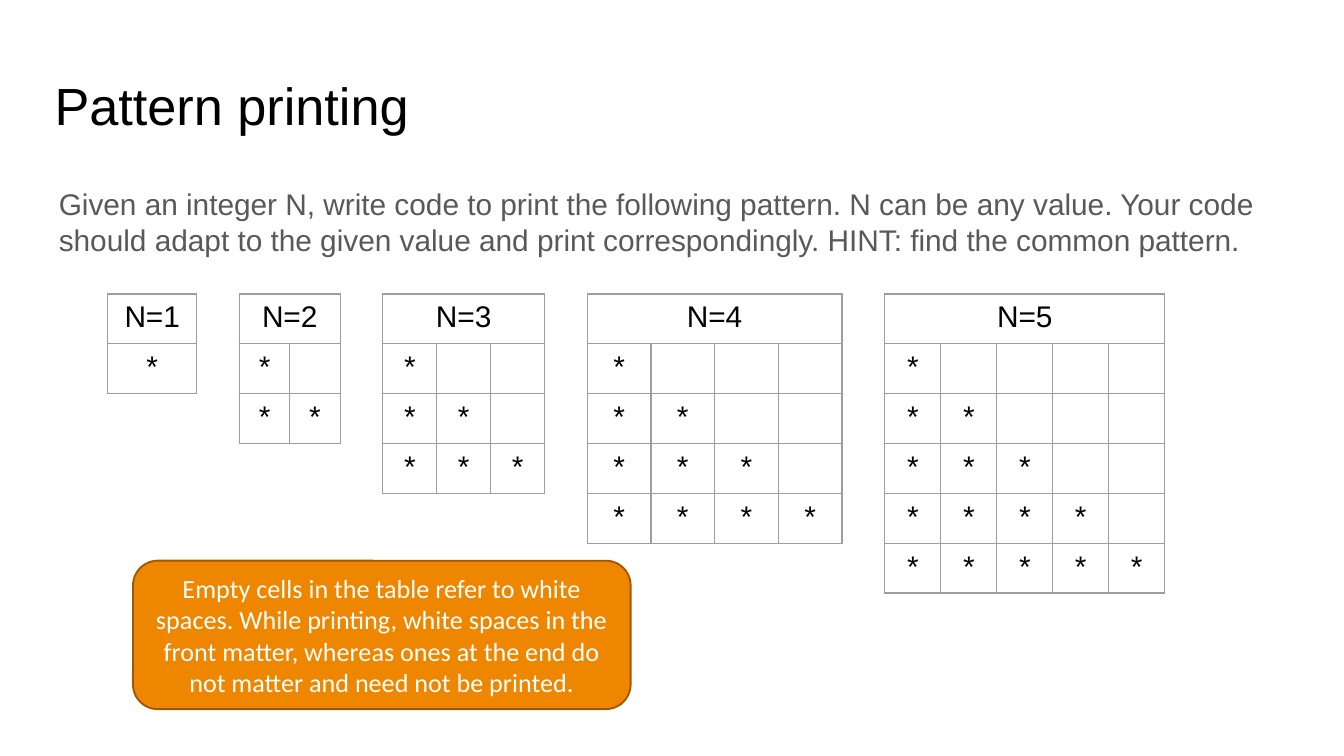
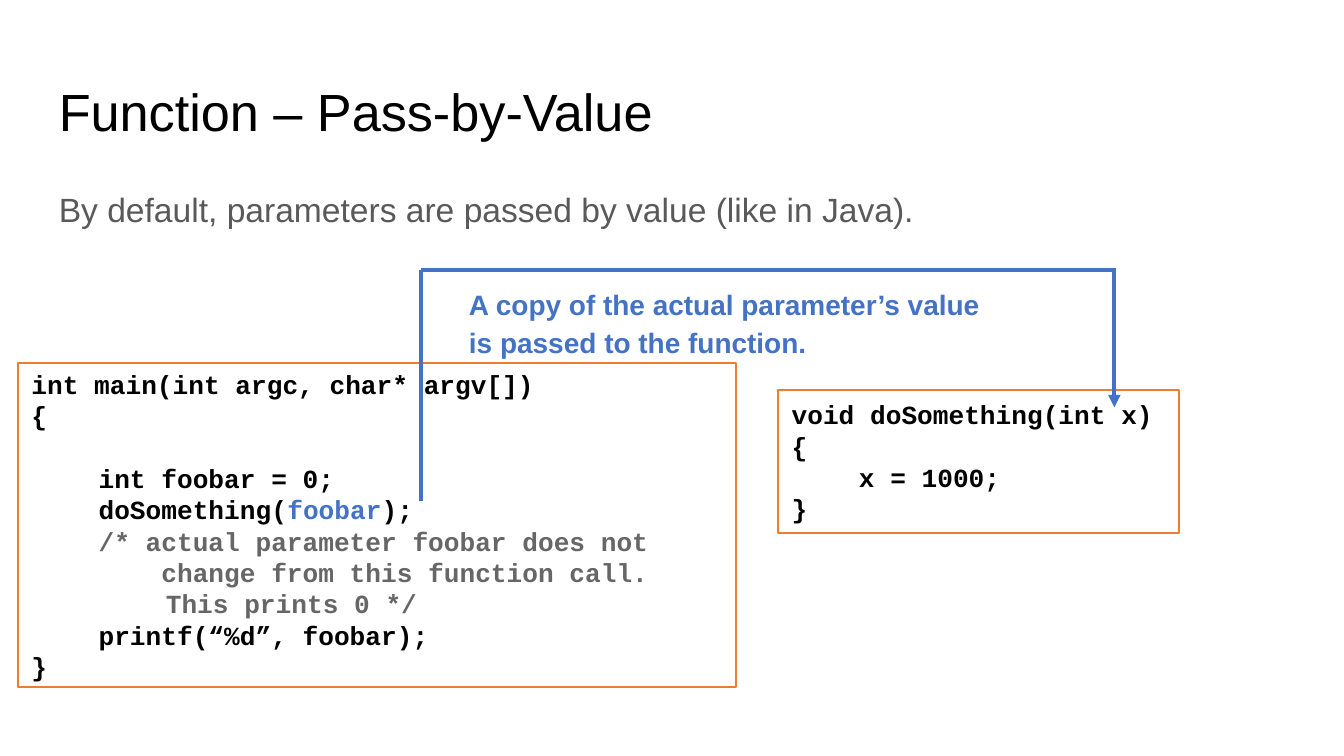
from lxml import etree
from pptx import Presentation
from pptx.dml.color import RGBColor
from pptx.enum.shapes import MSO_CONNECTOR, MSO_SHAPE
from pptx.enum.text import MSO_ANCHOR, PP_ALIGN
from pptx.oxml.ns import qn
from pptx.util import Pt

RECT, ROUNDED = MSO_SHAPE.RECTANGLE, MSO_SHAPE.ROUNDED_RECTANGLE
STRAIGHT = MSO_CONNECTOR.STRAIGHT
TOP, MIDDLE = MSO_ANCHOR.TOP, MSO_ANCHOR.MIDDLE
LEFT, CENTER = PP_ALIGN.LEFT, PP_ALIGN.CENTER

PX = 9144000 / 1920
C = {
    "black": "000000", "body": "595959", "comment": "666666",
    "white": "FFFFFF", "grid": "9E9E9E", "blue": "4472C4",
    "orange": "ED7D31", "note": "EF8600", "note_edge": "A05900",
}
TITLE = {"size": Pt(28), "name": "Arial"}
BODY = {"size": Pt(18), "name": "Arial"}
SMALL_BODY = {"size": Pt(16), "name": "Arial"}
CALLOUT = {"size": Pt(15), "name": "Arial", "bold": True}
NOTE = {"size": Pt(14), "name": "Calibri"}
CODE = {"size": Pt(14), "name": "Courier New", "bold": True}


def px(*lengths):
    return [round(n * PX) for n in lengths]


def write(tf, paragraphs, font, color, anchor=TOP, inset=(19, 19), **para):
    """Fill a text frame; each paragraph is a string or a list of (text, colour)."""
    tf.word_wrap = True
    tf.vertical_anchor = anchor
    x, y = px(*inset)
    tf.margin_left = tf.margin_right = x
    tf.margin_top = tf.margin_bottom = y
    for i, runs in enumerate(paragraphs):
        p = tf.paragraphs[0] if i == 0 else tf.add_paragraph()
        for name, value in para.items():
            setattr(p, name, value)
        if not runs:
            size = str(int(font["size"].pt * 100))
            etree.SubElement(p._p, qn("a:endParaRPr"), sz=size)
            continue
        for text, run_color in [(runs, color)] if isinstance(runs, str) else runs:
            r = p.add_run()
            r.text = text
            for name, value in font.items():
                setattr(r.font, name, value)
            r.font.color.rgb = RGBColor.from_string(C[run_color])


prs = Presentation()
prs.slide_width, prs.slide_height = px(1920, 1080)
blank = prs.slide_layouts[6]

# Slide 1: star triangles
s = prs.slides.add_slide(blank)
title = s.shapes.add_textbox(*px(65, 94, 1789, 121))
write(title.text_frame, ["Pattern printing"], TITLE, "black", MIDDLE, (13, 8),
      line_spacing=0.9)
task = s.shapes.add_textbox(*px(65, 255, 1789, 123))
write(task.text_frame, [
    "Given an integer N, write code to print the following pattern. "
    "N can be any value. Your code should adapt to the given value and print "
    "correspondingly. HINT: find the common pattern."],
    SMALL_BODY, "body", inset=(19, 10))

left, gap, row_h = 154, 61, 70
for n, col_w in enumerate([127, 72, 77, 91, 80], start=1):
    frame = s.shapes.add_table(n + 1, n, *px(left, 420, n * col_w, (n + 1) * row_h))
    table = frame.table
    table.first_row = table.horz_banding = False
    for row in range(n + 1):
        for col in range(n):
            cell = table.cell(row, col)
            cell.fill.background()
            if row == 0:
                text = f"N={n}" if col == 0 else ""
            else:
                text = "*" if col < row else ""
            tf = cell.text_frame
            write(tf, [text], SMALL_BODY, "black", inset=(19, 10), alignment=CENTER)
            cell.margin_left = cell.margin_right = px(10)[0]
            cell.margin_top = cell.margin_bottom = px(10)[0]
            cell.vertical_anchor = TOP
            tc_pr = cell._tc.get_or_add_tcPr()
            for i, side in enumerate(["lnL", "lnR", "lnT", "lnB"]):
                ln = etree.Element(qn(f"a:{side}"), w=str(Pt(0.75)))
                fill = etree.SubElement(ln, qn("a:solidFill"))
                etree.SubElement(fill, qn("a:srgbClr"), val=C["grid"])
                tc_pr.insert(i, ln)
    if n > 1:
        table.cell(0, 0).merge(table.cell(0, n - 1))
    left += n * col_w + gap

note = s.shapes.add_shape(ROUNDED, *px(190, 801, 711, 212))
note.shadow.inherit = False
note.fill.solid()
note.fill.fore_color.rgb = RGBColor.from_string(C["note"])
note.line.color.rgb = RGBColor.from_string(C["note_edge"])
note.line.width = Pt(1)
write(note.text_frame, [
    "Empty cells in the table refer to white spaces. While printing, white spaces "
    "in the front matter, whereas ones at the end do not matter and need not be "
    "printed."], NOTE, "white", MIDDLE, (19, 10), alignment=CENTER)

# Slide 2: pass-by-value
s = prs.slides.add_slide(blank)
title = s.shapes.add_textbox(*px(65, 94, 1789, 121))
write(title.text_frame, ["Function – Pass-by-Value"], TITLE, "black")
intro = s.shapes.add_textbox(*px(65, 242, 1789, 718))
write(intro.text_frame, ["By default, parameters are passed by value (like in Java)."],
      BODY, "body", line_spacing=1.15, space_after=Pt(16))

callee = ["void doSomething(int x)", "{", "\tx = 1000;", "}"]
caller = [
    "int main(int argc, char* argv[])",
    "{",
    "",
    "\tint foobar = 0;",
    [("\tdoSomething(", "black"), ("foobar", "blue"), (");", "black")],
    [("\t/* actual parameter foobar does not", "comment")],
    [("    change from this function call.", "comment")],
    [("\tThis prints 0 */", "comment")],
    "\tprintf(“%d”, foobar);",
    "}",
]
for box, code in [((1112, 557, 572, 204), callee), ((26, 519, 1025, 462), caller)]:
    sp = s.shapes.add_shape(RECT, *px(*box))
    sp.shadow.inherit = False
    sp.fill.background()
    sp.line.color.rgb = RGBColor.from_string(C["orange"])
    sp.line.width = Pt(1)
    write(sp.text_frame, code, CODE, "black", MIDDLE, (19, 10), alignment=LEFT)
for p in sp.text_frame.paragraphs[6:8]:
    p_pr = p._p.get_or_add_pPr()
    p_pr.set("marL", "0")
    p_pr.set("indent", str(px(96)[0]))

arrow_path = [(1592, 388, 1592, 582), (1594, 386, 601, 386), (601, 716, 601, 386)]
for i, ends in enumerate(arrow_path):
    line = s.shapes.add_connector(STRAIGHT, *px(*ends))
    line.line.color.rgb = RGBColor.from_string(C["blue"])
    line.line.width = Pt(2.25)
    if i == 0:
        etree.SubElement(line.line._get_or_add_ln(), qn("a:tailEnd"), type="triangle")
    etree.SubElement(line._element.spPr, qn("a:effectLst"))

callout = s.shapes.add_textbox(*px(651, 384, 780, 156))
write(callout.text_frame,
      ["A copy of the actual parameter’s value is passed to the function."],
      CALLOUT, "blue", line_spacing=1.15, space_after=Pt(16))

prs.save("out.pptx")
